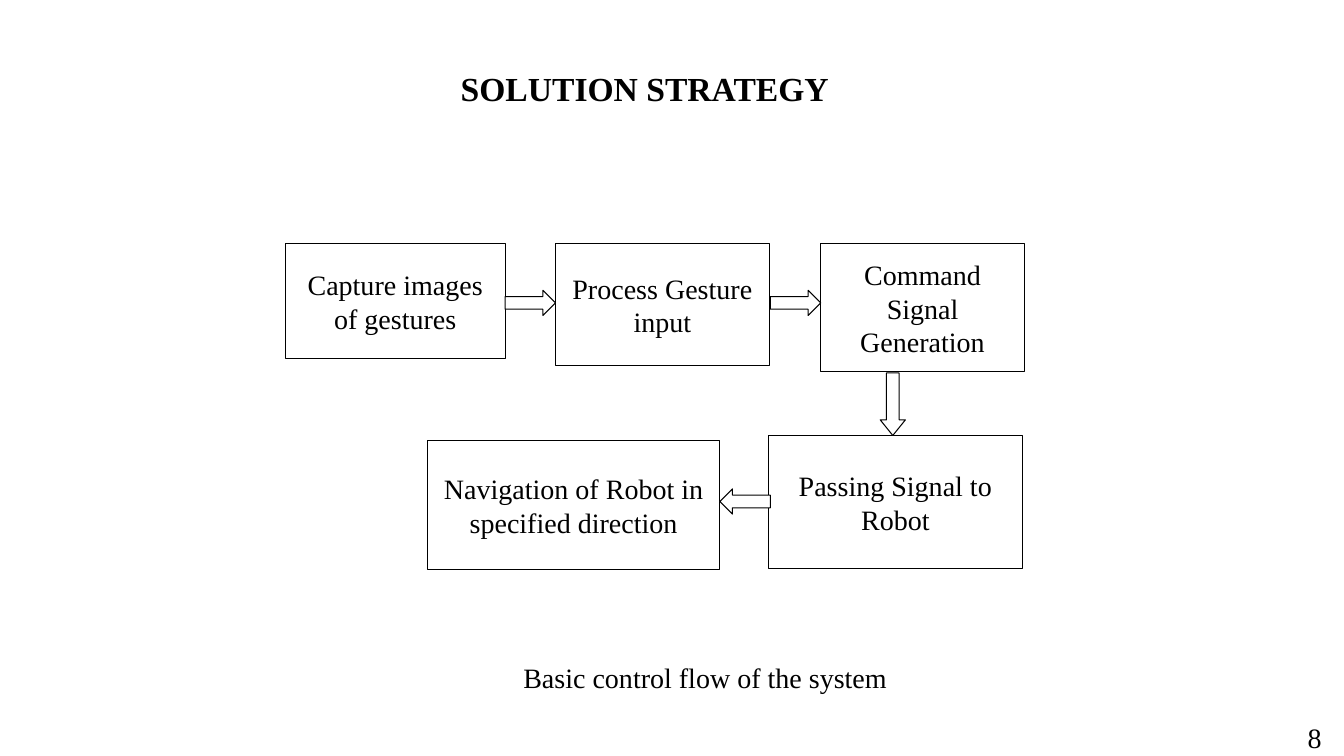
from pptx import Presentation
from pptx import util as u
from pptx.dml.color import RGBColor
from pptx.enum import shapes, text

COLORS = {"ink": "000000", "paper": "FFFFFF"}
FONT = "Times New Roman"
SHAPE = shapes.MSO_SHAPE

deck = Presentation()
deck.slide_width, deck.slide_height = u.Inches(13.33), u.Inches(7.5)
slide = deck.slides.add_slide(deck.slide_layouts[5])


def write(frame, words, size=20, bold=False, align=text.PP_ALIGN.CENTER,
          anchor=text.MSO_ANCHOR.MIDDLE):
    """Fill a text frame with one styled, wrapping paragraph."""
    frame.word_wrap = True
    frame.auto_size = text.MSO_AUTO_SIZE.NONE
    frame.vertical_anchor = anchor
    paragraph = frame.paragraphs[0]
    paragraph.alignment = align
    run = paragraph.add_run()
    run.text = words
    run.font.name, run.font.size, run.font.bold = FONT, u.Pt(size), bold
    run.font.color.rgb = RGBColor.from_string(COLORS["ink"])
    return paragraph


def add_outlined(kind, box):
    """Add a white shape with a thin black outline."""
    shape = slide.shapes.add_shape(kind, *map(u.Inches, box))
    shape.shadow.inherit = False
    shape.fill.solid()
    shape.fill.fore_color.rgb = RGBColor.from_string(COLORS["paper"])
    shape.line.color.rgb = RGBColor.from_string(COLORS["ink"])
    shape.line.width = u.Pt(0.75)
    return shape


# Title
title = slide.shapes.title
title.left, title.top, title.width, title.height = map(
    u.Inches, (3.2, 0.62, 6.39, 0.5))
write(title.text_frame, "SOLUTION STRATEGY", size=24, bold=True)

# Steps of the control flow
steps = [
    ("Capture images of gestures", (2.83, 2.42, 2.18, 1.14)),
    ("Process Gesture input", (5.51, 2.42, 2.12, 1.21)),
    ("Command Signal Generation", (8.14, 2.42, 2.02, 1.27)),
    ("Passing Signal to Robot", (7.62, 4.32, 2.52, 1.32)),
    ("Navigation of Robot in specified direction", (4.24, 4.37, 2.9, 1.28)),
]
for step, box in steps:
    paragraph = write(add_outlined(SHAPE.RECTANGLE, box).text_frame, step)
    paragraph.space_after = u.Pt(10)

# Arrows between the steps
arrows = [
    (SHAPE.RIGHT_ARROW, (5.01, 2.88, 0.5, 0.25)),
    (SHAPE.RIGHT_ARROW, (7.64, 2.88, 0.5, 0.25)),
    (SHAPE.DOWN_ARROW, (8.73, 3.7, 0.25, 0.62)),
    (SHAPE.LEFT_ARROW, (7.14, 4.85, 0.5, 0.25)),
]
for kind, box in arrows:
    arrow = add_outlined(kind, box)
    if kind == SHAPE.DOWN_ARROW:
        arrow.adjustments[1] = 0.62

# Caption and page number
labels = [
    ("Basic control flow of the system", (5.01, 6.5, 3.97, 0.44), text.PP_ALIGN.CENTER),
    ("8", (12.87, 7.1, 0.65, 0.44), text.PP_ALIGN.LEFT),
]
for words, box, align in labels:
    label = slide.shapes.add_textbox(*map(u.Inches, box))
    write(label.text_frame, words, align=align, anchor=text.MSO_ANCHOR.TOP)

deck.save("out.pptx")
